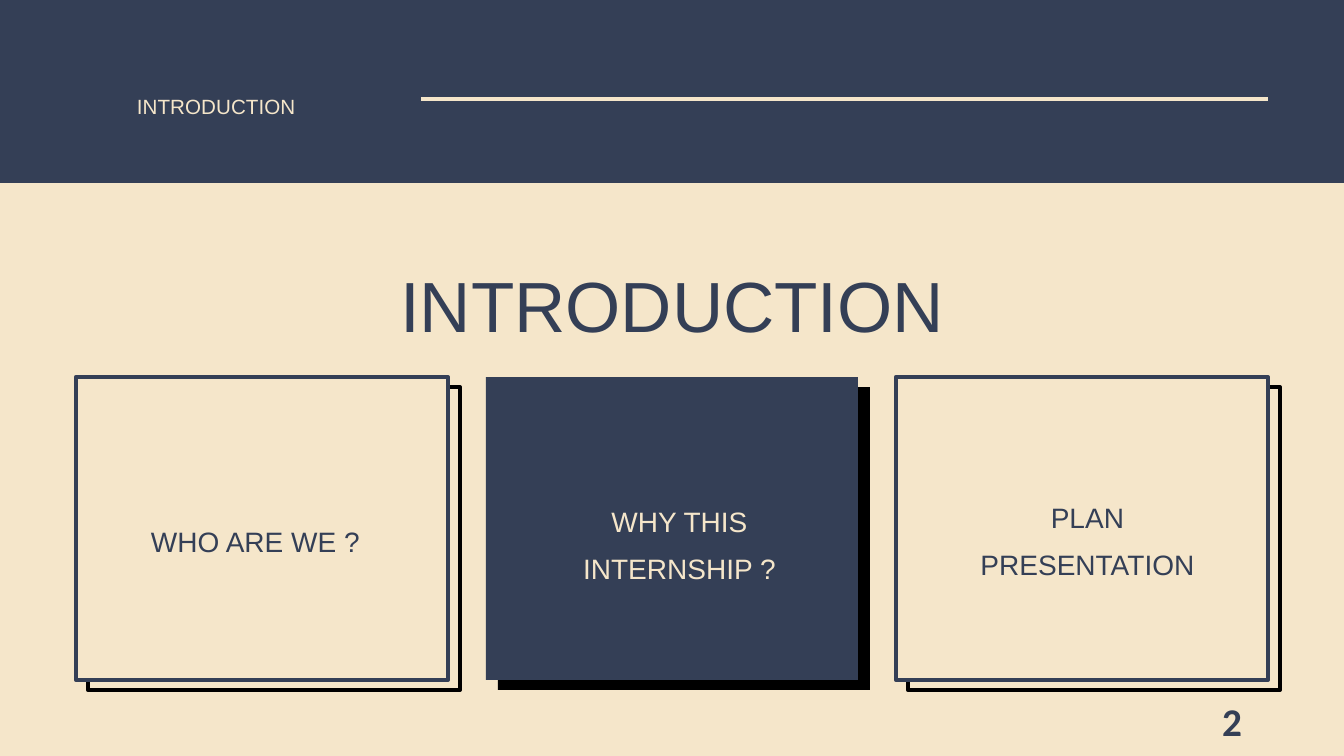
from lxml.etree import SubElement
from pptx import Presentation
from pptx.dml.color import RGBColor
from pptx.enum.shapes import MSO_CONNECTOR, MSO_SHAPE
from pptx.enum.text import MSO_ANCHOR, MSO_AUTO_SIZE, PP_ALIGN
from pptx.oxml.ns import qn
from pptx.util import Emu, Pt

COLORS = {"navy": "343F56", "cream": "F5E6CA", "black": "000000"}
EMU_PER_PX = 914400 / 100.8
WIDTH, HEIGHT = 1344, 756


def px(n):
    return Emu(round(n * EMU_PER_PX))


def rgb(name):
    return RGBColor.from_string(COLORS[name])


class SlideBuilder:
    font = "Arial"
    line_width = Pt(3)

    def __init__(self, prs):
        self.s = prs.slides.add_slide(prs.slide_layouts[6])

    def background(self, color):
        fill = self.s.background.fill
        fill.solid()
        fill.fore_color.rgb = rgb(color)

    def rect(self, x, y, w, h, fill=None, line=None):
        sp = self.s.shapes.add_shape(MSO_SHAPE.RECTANGLE, px(x), px(y), px(w), px(h))
        sp.shadow.inherit = False
        if fill:
            sp.fill.solid()
            sp.fill.fore_color.rgb = rgb(fill)
        else:
            sp.fill.background()
        if line:
            sp.line.color.rgb = rgb(line)
            sp.line.width = self.line_width
            SubElement(sp._element.spPr.find(qn("a:ln")), qn("a:round"))
        else:
            sp.line.fill.background()

    def rule(self, x1, x2, y, color):
        cxn = self.s.shapes.add_connector(MSO_CONNECTOR.STRAIGHT, px(x1), px(y), px(x2), px(y))
        cxn.line.color.rgb = rgb(color)
        cxn.line.width = self.line_width
        SubElement(cxn._element.spPr, qn("a:effectLst"))

    def text(self, text, x, y, w, h, size=20, color="navy", align=PP_ALIGN.CENTER,
             font=None, bold=False, spacing=1.4, inset=(0, 0),
             anchor=MSO_ANCHOR.TOP, autosize=MSO_AUTO_SIZE.SHAPE_TO_FIT_TEXT):
        tf = self.s.shapes.add_textbox(px(x), px(y), px(w), px(h)).text_frame
        tf.word_wrap = True
        tf.auto_size = autosize
        tf.vertical_anchor = anchor
        tf.margin_left = tf.margin_right = px(inset[0])
        tf.margin_top = tf.margin_bottom = px(inset[1])
        p = tf.paragraphs[0]
        p.alignment = align
        p.line_spacing = spacing
        r = p.add_run()
        r.text = text
        r.font.name = font or self.font
        r.font.size = Pt(size)
        r.font.bold = bold
        r.font.color.rgb = rgb(color)


def main():
    prs = Presentation()
    prs.slide_width, prs.slide_height = px(WIDTH), px(HEIGHT)
    slide = SlideBuilder(prs)
    slide.background("cream")

    slide.rect(0, 0, WIDTH, 183, fill="navy")
    slide.text("INTRODUCTION", 137, 84, 263, 25, size=14.7, color="cream", align=PP_ALIGN.LEFT)
    slide.rule(421, 1268, 99, "cream")
    slide.text("INTRODUCTION", 198, 227, 949, 85, size=50.7)

    card_x, card_y, card_w, card_h, card_step = 76, 377, 372, 303, 410
    cards = [
        ("WHO ARE WE ?", False, (137, 511, 237, 34)),
        ("WHY THIS INTERNSHIP ?", True, (561, 491, 237, 73)),
        ("PLAN PRESENTATION", False, (950, 487, 275, 73)),
    ]
    for i, (label, solid, label_box) in enumerate(cards):
        x = card_x + i * card_step
        if solid:
            shadow, face, ink = {"fill": "black"}, {"fill": "navy"}, "cream"
        else:
            shadow, face, ink = {"line": "black"}, {"fill": "cream", "line": "navy"}, "navy"
        slide.rect(x + 12, card_y + 10, card_w, card_h, **shadow)
        slide.rect(x, card_y, card_w, card_h, **face)
        slide.text(label, *label_box, color=ink)

    slide.text("2", 950, 701, 302, 40, size=28, font="Calibri", bold=True, spacing=1.0,
               align=PP_ALIGN.RIGHT, inset=(10, 5), anchor=MSO_ANCHOR.MIDDLE,
               autosize=MSO_AUTO_SIZE.NONE)
    prs.save("out.pptx")


if __name__ == "__main__":
    main()
